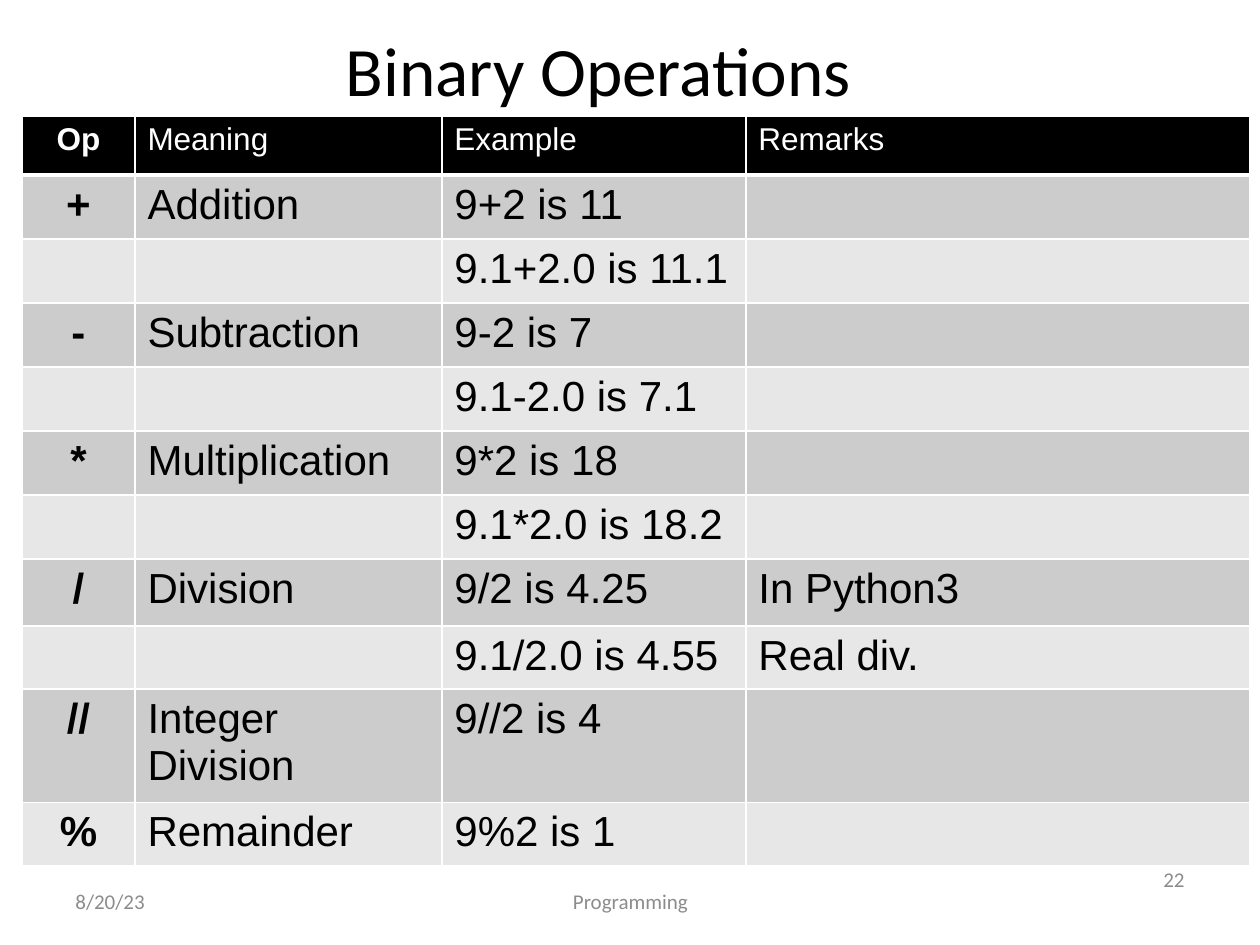
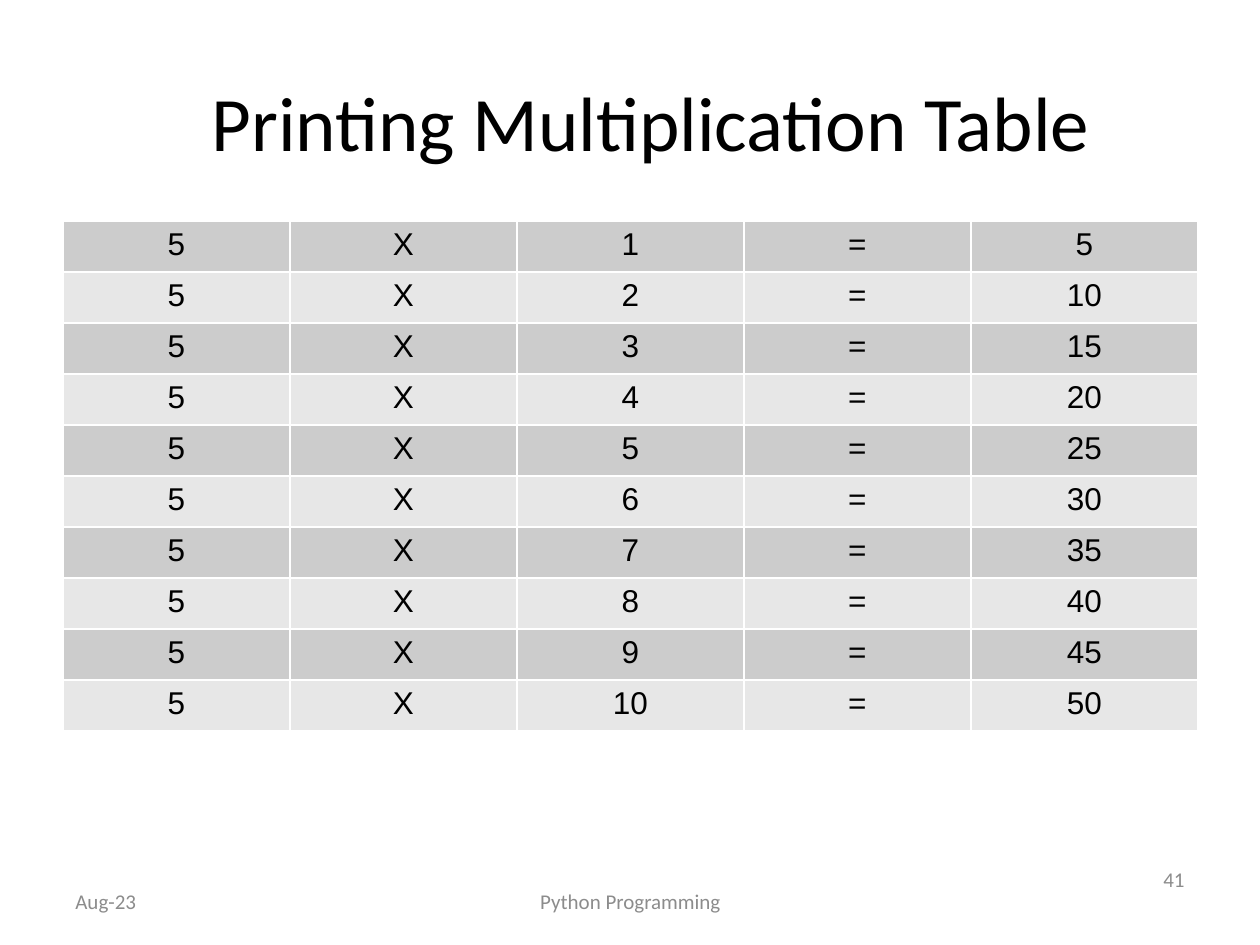
from lxml import etree
from pptx import Presentation
from pptx.dml.color import RGBColor
from pptx.enum.text import MSO_ANCHOR, PP_ALIGN
from pptx.oxml.ns import qn
from pptx.util import Pt

PX = 914400 // 126
LEFT, CENTER, RIGHT = PP_ALIGN.LEFT, PP_ALIGN.CENTER, PP_ALIGN.RIGHT
MIDDLE = MSO_ANCHOR.MIDDLE

COLORS = {
    "text": "000000",
    "footer": "8C8C8C",
    "header": "000000",
    "header_text": "FFFFFF",
    "odd_row": "CCCCCC",
    "even_row": "E7E7E7",
    "border": "FFFFFF",
}
TITLE_FONT, TABLE_FONT = "Calibri", "Arial"
FOOTER_SLOTS = [
    ((63, 876, 294, 50), LEFT),
    ((431, 876, 399, 50), CENTER),
    ((903, 854, 294, 50), RIGHT),
]

OPERATIONS_HEADER = ("Op", "Meaning", "Example", "Remarks")
OPERATIONS = [
    ("+", "Addition", "9+2 is 11", ""),
    ("", "", "9.1+2.0 is 11.1", ""),
    ("-", "Subtraction", "9-2 is 7", ""),
    ("", "", "9.1-2.0 is 7.1", ""),
    ("*", "Multiplication", "9*2 is 18", ""),
    ("", "", "9.1*2.0 is 18.2", ""),
    ("/", "Division", "9/2 is 4.25", "In Python3"),
    ("", "", "9.1/2.0 is 4.55", "Real div."),
    ("//", "Integer Division", "9//2 is 4", ""),
    ("%", "Remainder", "9%2 is 1", ""),
]
MULTIPLICAND = 5
PRODUCTS = [(MULTIPLICAND, "X", n, "=", MULTIPLICAND * n) for n in range(1, 11)]

SLIDES = [
    {
        "title": ("Binary Operations", (63, 21, 1071, 95), 39.6),
        "footer": ("8/20/23", "Programming", "22"),
        "header": OPERATIONS_HEADER,
        "rows": OPERATIONS,
        "origin": (22, 116),
        "columns": [113, 307, 304, 504],
        "heights": [59] + [64] * 6 + [67, 63, 107, 63],
        "size": 24,
        "centered": {0},
        "bold": {0},
    },
    {
        "title": ("Printing Multiplication Table", (84, 42, 1134, 158), 44),
        "footer": ("Aug-23", "Python Programming", "41"),
        "header": None,
        "rows": PRODUCTS,
        "origin": (63, 221),
        "columns": [227] * 5,
        "heights": [51] * 10,
        "size": 18,
        "centered": set(range(5)),
        "bold": set(),
    },
]


def rgb(name):
    return RGBColor.from_string(COLORS[name])


def style(paragraph, font_name, size, color, align, bold=False):
    paragraph.alignment = align
    font = paragraph.font
    font.name, font.size, font.bold = font_name, Pt(size), bold
    font.color.rgb = rgb(color)


def add_label(slide, text, box, size, color, align):
    frame = slide.shapes.add_textbox(*(v * PX for v in box)).text_frame
    frame.word_wrap = True
    frame.vertical_anchor = MIDDLE
    frame.text = text
    style(frame.paragraphs[0], TITLE_FONT, size, color, align)


def set_borders(cell, bottom_width):
    properties = cell._tc.get_or_add_tcPr()
    widths = {"a:lnL": 1, "a:lnR": 1, "a:lnT": 1, "a:lnB": bottom_width}
    for position, (side, width) in enumerate(widths.items()):
        line = etree.Element(qn(side), w=str(Pt(width)))
        fill = etree.SubElement(line, qn("a:solidFill"))
        etree.SubElement(fill, qn("a:srgbClr"), val=COLORS["border"])
        properties.insert(position, line)


def add_grid(slide, content):
    header, columns, heights = content["header"], content["columns"], content["heights"]
    rows = ([header] if header else []) + content["rows"]
    left, top = content["origin"]
    box = (left, top, sum(columns), sum(heights))
    grid = slide.shapes.add_table(len(rows), len(columns), *(v * PX for v in box)).table
    grid.first_row = bool(header)
    for column, width in zip(grid.columns, columns):
        column.width = width * PX
    for grid_row, height in zip(grid.rows, heights):
        grid_row.height = height * PX

    first_body_row = 1 if header else 0
    for r, values in enumerate(rows):
        is_header = r < first_body_row
        band = "even_row" if (r - first_body_row) % 2 else "odd_row"
        size = 18 if is_header else content["size"]
        color = "header_text" if is_header else "text"
        for c, value in enumerate(values):
            cell = grid.cell(r, c)
            cell.text = str(value)
            cell.fill.solid()
            cell.fill.fore_color.rgb = rgb("header" if is_header else band)
            set_borders(cell, 3 if is_header else 1)
            align = CENTER if c in content["centered"] else LEFT
            style(cell.text_frame.paragraphs[0], TABLE_FONT, size, color, align,
                  c in content["bold"])


def main():
    deck = Presentation()
    deck.slide_width, deck.slide_height = 1260 * PX, 945 * PX
    for content in SLIDES:
        slide = deck.slides.add_slide(deck.slide_layouts[6])
        title, box, size = content["title"]
        add_label(slide, title, box, size, "text", CENTER)
        add_grid(slide, content)
        for text, (slot, align) in zip(content["footer"], FOOTER_SLOTS):
            add_label(slide, text, slot, 12, "footer", align)
    deck.save("out.pptx")


if __name__ == "__main__":
    main()
